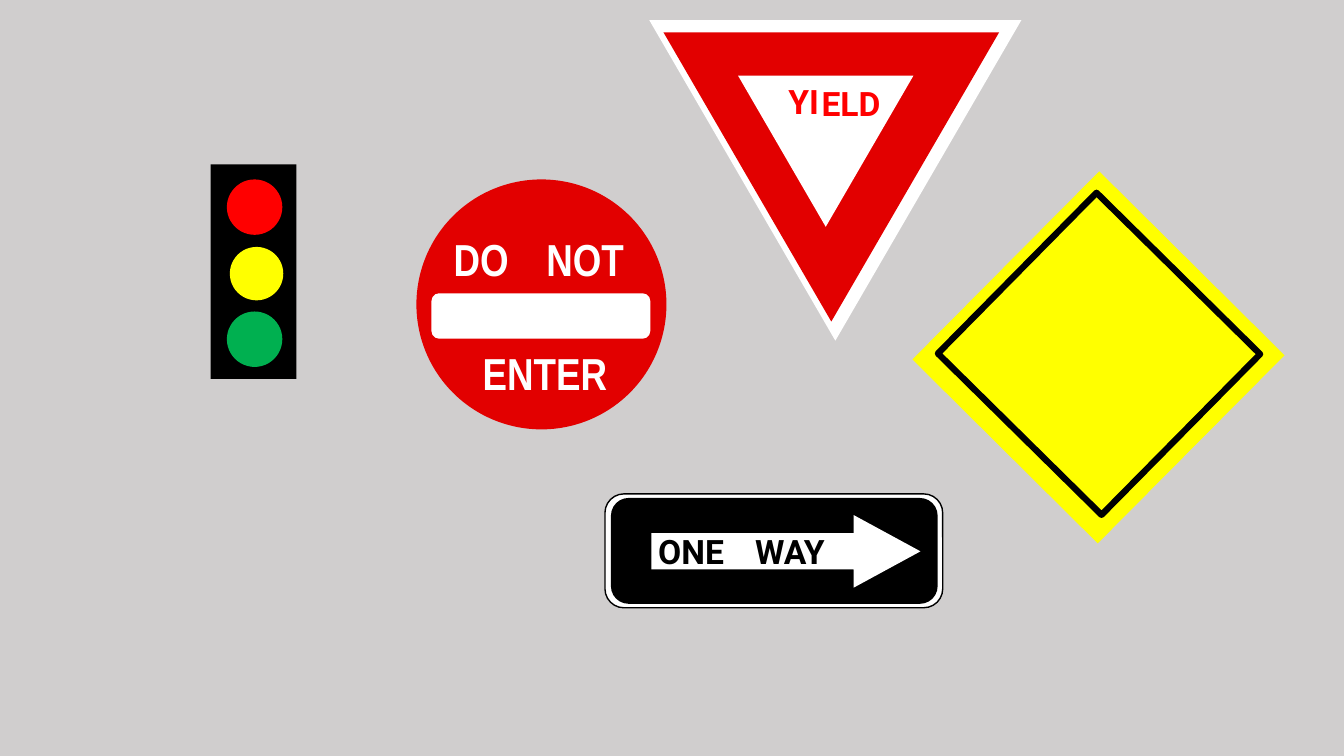
import pptx
import pptx.util
import pptx.dml.color
import pptx.enum.shapes
import pptx.enum.text

RGB = pptx.dml.color.RGBColor
KIND = pptx.enum.shapes.MSO_SHAPE
ALIGN = pptx.enum.text.PP_ALIGN

BACKGROUND = RGB(0xD0, 0xCE, 0xCE)
WHITE = RGB(0xFF, 0xFF, 0xFF)
BLACK = RGB(0x00, 0x00, 0x00)
SIGN_RED = RGB(0xE2, 0x00, 0x00)
RED = RGB(0xFF, 0x00, 0x00)
YELLOW = RGB(0xFF, 0xFF, 0x00)
GREEN = RGB(0x00, 0xB0, 0x50)

PX = 9144
SLIDE_SIZE = (1333, 750)

ONE_WAY_SIGN = [
    (KIND.ROUNDED_RECTANGLE, (600, 490, 335, 113), {"fill": WHITE, "line": BLACK, "weight": 1}),
    (KIND.ROUNDED_RECTANGLE, (606, 494, 324, 105), {"fill": BLACK}),
    (KIND.RIGHT_ARROW, (646, 511, 267, 72), {"fill": WHITE, "adjustments": (0.5, 0.92)}),
]
DO_NOT_ENTER_SIGN = [
    (KIND.OVAL, (413, 178, 248, 248), {"fill": SIGN_RED}),
    (KIND.ROUNDED_RECTANGLE, (428, 291, 217, 45), {"fill": WHITE}),
]
YIELD_SIGN = [
    (KIND.ISOSCELES_TRIANGLE, (644, 20, 369, 318), {"fill": WHITE, "rotation": 180}),
    (KIND.ISOSCELES_TRIANGLE, (658, 32, 333, 287), {"fill": SIGN_RED, "rotation": 180}),
    (KIND.ISOSCELES_TRIANGLE, (732, 75, 174, 150), {"fill": WHITE, "rotation": 180}),
]
WARNING_SIGN = [
    (KIND.RECTANGLE, (958, 225, 263, 259), {"fill": YELLOW, "rotation": 314.8}),
    (KIND.RECTANGLE, (976, 239, 228, 224), {"line": BLACK, "weight": 4.5, "rotation": 44.6}),
]
TRAFFIC_LIGHT = [
    (KIND.RECTANGLE, (209, 163, 85, 213), {"fill": BLACK}),
    (KIND.OVAL, (225, 178, 55, 55), {"fill": RED}),
    (KIND.OVAL, (228, 245, 53, 53), {"fill": YELLOW}),
    (KIND.OVAL, (225, 309, 55, 55), {"fill": GREEN}),
]
SIGNS = [ONE_WAY_SIGN, DO_NOT_ENTER_SIGN, YIELD_SIGN, WARNING_SIGN, TRAFFIC_LIGHT]

ONE_WAY_FORMAT = {"font": "Roboto", "size": 24, "color": BLACK}
YIELD_FORMAT = {"font": "Roboto", "size": 24, "color": RED}
ENTER_FORMAT = {"font": "Arial Narrow", "size": 32, "color": WHITE}

WORDS = [
    ("ONE", (643, 522, 97, 50), ONE_WAY_FORMAT),
    ("YI", (772, 75, 52, 50), YIELD_FORMAT),
    ("WAY", (739, 522, 108, 50), ONE_WAY_FORMAT),
    ("ELD", (805, 77, 117, 50), YIELD_FORMAT),
    ("DO", (440, 225, 117, 64), ENTER_FORMAT),
    ("ENTER", (458, 338, 165, 64), {**ENTER_FORMAT, "align": ALIGN.CENTER}),
    ("NOT", (532, 225, 117, 64), ENTER_FORMAT),
]


def emu(lengths):
    return [length * PX for length in lengths]


def add_panel(slide, kind, box, fill=None, line=None, weight=1, rotation=0, adjustments=()):
    panel = slide.shapes.add_shape(kind, *emu(box))
    panel.shadow.inherit = False
    panel.rotation = rotation
    for index, value in enumerate(adjustments):
        panel.adjustments[index] = value
    if fill is None:
        panel.fill.background()
    else:
        panel.fill.solid()
        panel.fill.fore_color.rgb = fill
    if line is None:
        panel.line.fill.background()
    else:
        panel.line.color.rgb = line
        panel.line.width = pptx.util.Pt(weight)


def add_text(slide, text, box, font, size, color, align=ALIGN.LEFT):
    frame = slide.shapes.add_textbox(*emu(box)).text_frame
    frame.word_wrap = True
    frame.auto_size = pptx.enum.text.MSO_AUTO_SIZE.SHAPE_TO_FIT_TEXT
    paragraph = frame.paragraphs[0]
    paragraph.alignment = align
    word = paragraph.add_run()
    word.text = text
    word.font.name = font
    word.font.size = pptx.util.Pt(size)
    word.font.bold = True
    word.font.color.rgb = color


def main():
    deck = pptx.Presentation()
    deck.slide_width, deck.slide_height = emu(SLIDE_SIZE)
    slide = deck.slides.add_slide(deck.slide_layouts[6])
    slide.background.fill.solid()
    slide.background.fill.fore_color.rgb = BACKGROUND
    for sign in SIGNS:
        for kind, box, style in sign:
            add_panel(slide, kind, box, **style)
    for text, box, style in WORDS:
        add_text(slide, text, box, **style)
    deck.save("out.pptx")


if __name__ == "__main__":
    main()
